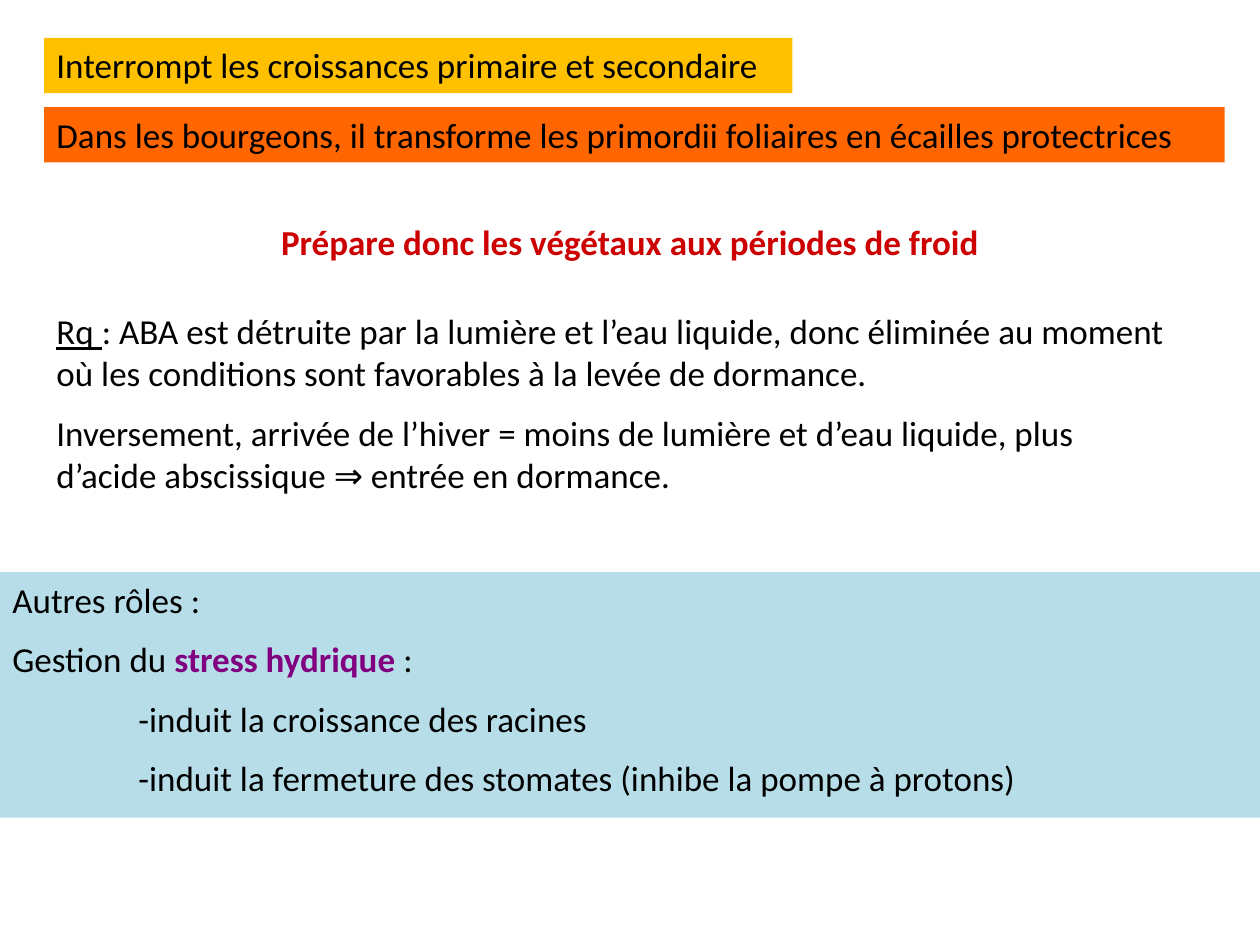
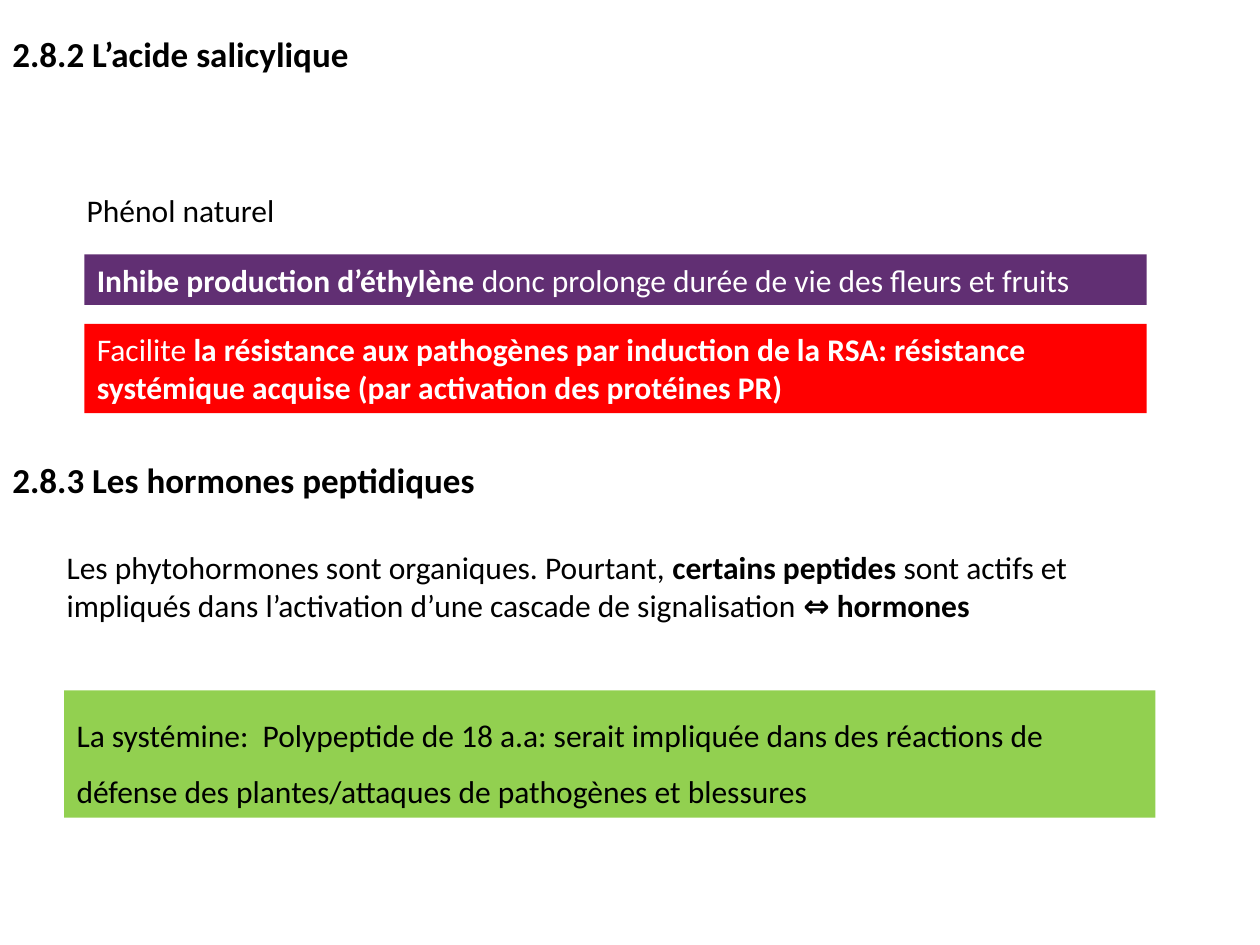
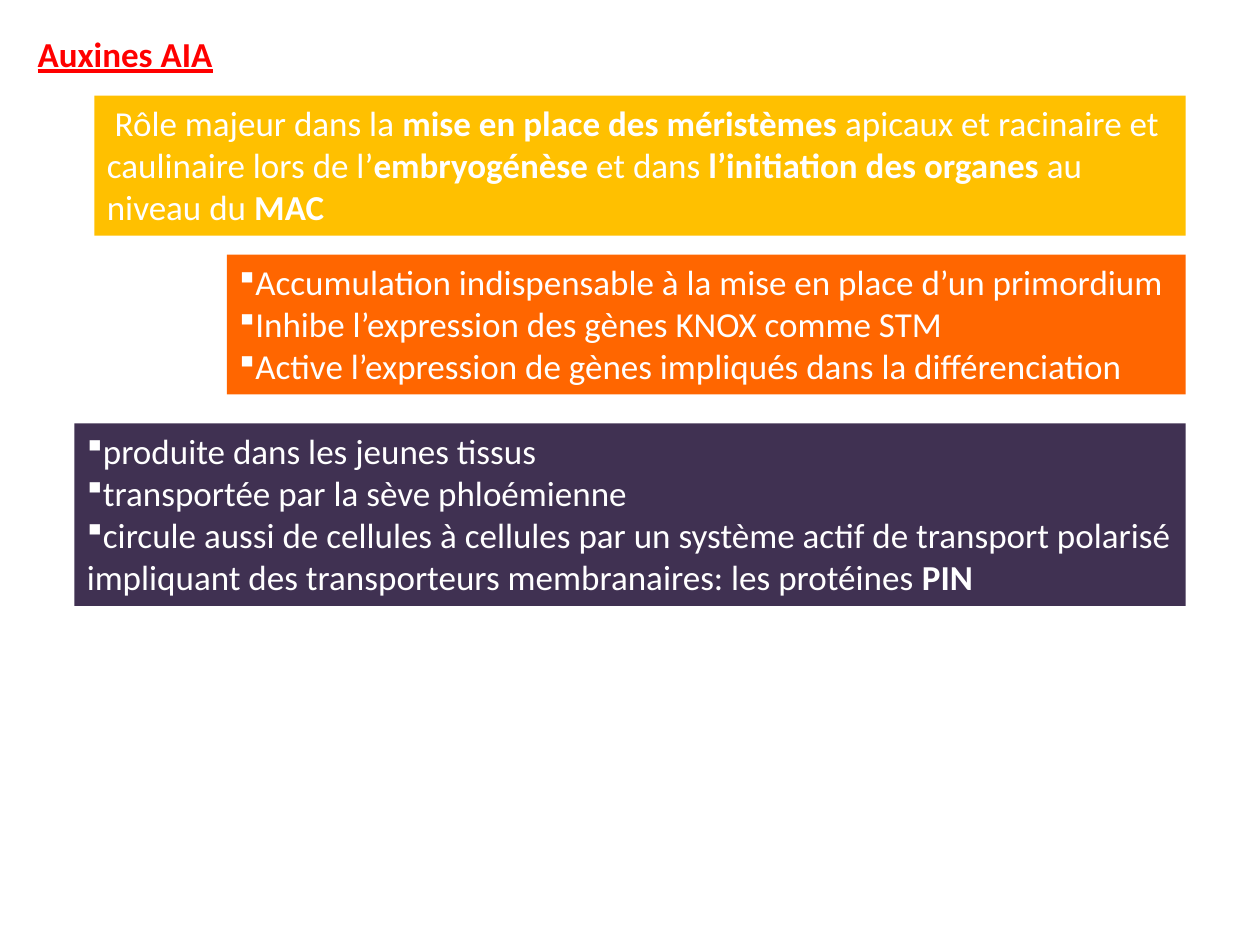
import pptx
import pptx.util
import pptx.dml.color
import pptx.enum.shapes
import pptx.enum.text
import pptx.oxml.ns
from lxml import etree

Inches, Pt = pptx.util.Inches, pptx.util.Pt
ALIGN = pptx.enum.text.PP_ALIGN

FONT = "Calibri"
BULLET_FONT, SQUARE_BULLET = "Wingdings", "§"
BLACK, WHITE, RED, PURPLE = "000000", "FFFFFF", "FF0000", "800080"
AMBER, ORANGE = "FFC000", "FF6600"
BOLD = {"bold": True}

# A box is (left, top, width, height), paragraphs, format.
# A paragraph is a list of runs; a run is a text, or a text with its format.
HEADING = {"bold": True, "wrap": False}
SPACED = {"gap": 10}
BULLETED = {"color": WHITE, "bullet": SQUARE_BULLET}

DORMANCY = [
    ((0, 1.7, 10, 0.44), [["Prépare donc les végétaux aux périodes de froid"]],
     {"color": "CC0000", "bold": True, "align": ALIGN.CENTER}),
    ((0.35, 2.41, 9.06, 1.62), [
        [("Rq ", {"underline": True}),
         ": ABA est détruite par la lumière et l’eau liquide, donc éliminée au moment "
         "où les conditions sont favorables à la levée de dormance."],
        ["Inversement, arrivée de l’hiver = moins de lumière et d’eau liquide, plus "
         "d’acide abscissique ⇒ entrée en dormance."],
    ], SPACED),
    ((0.35, 0.3, 5.94, 0.44),
     [["Interrompt les croissances primaire et secondaire"]], {"fill": AMBER}),
    ((0.35, 0.85, 9.37, 0.44),
     [["Dans les bourgeons, il transforme les primordii foliaires en écailles protectrices"]],
     {"fill": ORANGE}),
    ((0, 4.54, 10, 1.95), [
        ["Autres rôles :"],
        ["Gestion du ", ("stress hydrique", {"bold": True, "color": PURPLE}), " :"],
        ["\t-induit la croissance des racines"],
        ["\t-induit la fermeture des stomates (inhibe la pompe à protons)"],
    ], {"fill": "B7DEE8", "tab": 1, **SPACED}),
]

OTHER_HORMONES = [
    ((0, 0.21, 2.89, 0.44), [["2.8.2 L’acide salicylique"]], HEADING),
    ((0, 3.59, 3.91, 0.44), [["2.8.3 Les hormones peptidiques"]], HEADING),
    ((0.59, 1.47, 9.06, 0.4), [["Phénol naturel"]], {"size": 18}),
    ((0.67, 2.57, 8.43, 0.71), [
        ["Facilite ",
         ("la résistance aux pathogènes par induction de la RSA: résistance "
          "systémique acquise (par activation des protéines PR)", BOLD)],
    ], {"size": 18, "color": WHITE, "fill": RED}),
    ((0.67, 2.02, 8.43, 0.4), [
        [("Inhibe production d’éthylène ", BOLD),
         "donc prolonge durée de vie des fleurs et fruits"],
    ], {"size": 18, "color": WHITE, "fill": "612F73"}),
    ((0.51, 5.48, 8.66, 1.01), [
        ["La systémine:  Polypeptide de 18 a.a: serait impliquée dans des réactions de "
         "défense des plantes/attaques de pathogènes et blessures"],
    ], {"size": 18, "fill": "92D050", "line_spacing": 1.5}),
    ((0.43, 4.3, 8.98, 0.71), [
        ["Les phytohormones sont organiques. Pourtant, ", ("certains peptides ", BOLD),
         "sont actifs et impliqués dans l’activation d’une cascade de signalisation ",
         ("⇔ hormones", BOLD)],
    ], {"size": 18}),
]

AUXINS = [
    ((0.2, 0.21, 1.6, 0.44), [["Auxines AIA"]],
     {**HEADING, "color": RED, "underline": True}),
    ((1.8, 2.02, 7.61, 1.11), [
        ["Accumulation indispensable à la mise en place d’un primordium"],
        ["Inhibe l’expression des gènes KNOX comme STM"],
        ["Active l’expression de gènes impliqués dans la différenciation"],
    ], {"fill": ORANGE, **BULLETED}),
    ((0.75, 0.76, 8.66, 1.11), [
        [" Rôle majeur dans la ", ("mise en place des méristèmes ", BOLD),
         "apicaux et racinaire et caulinaire lors de l’", ("embryogénèse", BOLD),
         " et dans ", ("l’initiation des organes ", BOLD), "au niveau du ", ("MAC", BOLD)],
    ], {"color": WHITE, "fill": AMBER}),
    ((0.59, 3.36, 8.82, 1.45), [
        ["produite dans les jeunes tissus"],
        ["transportée par la sève phloémienne"],
        ["circule aussi de cellules à cellules par un système actif de transport polarisé "
         "impliquant des transporteurs membranaires: les protéines ", ("PIN", BOLD)],
    ], {"fill": "403152", **BULLETED}),
]


def rgb(value):
    return pptx.dml.color.RGBColor.from_string(value)


def add_frame(slide, place, fill):
    """Return the text frame of a filled rectangle, or of a plain text box."""
    lengths = [Inches(length) for length in place]
    if fill is None:
        return slide.shapes.add_textbox(*lengths).text_frame
    band = slide.shapes.add_shape(pptx.enum.shapes.MSO_SHAPE.RECTANGLE, *lengths)
    band.shadow.inherit = False
    band.fill.solid()
    band.fill.fore_color.rgb = rgb(fill)
    band.line.fill.background()
    return band.text_frame


def add_element(parent, tag, **attributes):
    return etree.SubElement(parent, pptx.oxml.ns.qn(tag), **attributes)


def add_run(paragraph, text, size, color, bold=False, underline=False):
    run = paragraph.add_run()
    run.text = text
    run.font.name = FONT
    run.font.size = Pt(size)
    run.font.color.rgb = rgb(color)
    run.font.bold = bold
    run.font.underline = underline


def add_text(slide, place, paragraphs, fill=None, align=ALIGN.LEFT, gap=0, bullet=None,
             tab=None, line_spacing=None, wrap=True, size=20, color=BLACK, **style):
    frame = add_frame(slide, place, fill)
    frame.word_wrap = wrap
    frame.auto_size = pptx.enum.text.MSO_AUTO_SIZE.SHAPE_TO_FIT_TEXT
    frame.vertical_anchor = pptx.enum.text.MSO_ANCHOR.TOP
    for index, runs in enumerate(paragraphs):
        paragraph = frame.add_paragraph() if index else frame.paragraphs[0]
        paragraph.alignment = align
        if line_spacing:
            paragraph.line_spacing = line_spacing
        if index and gap:
            paragraph.space_before = Pt(gap)
        properties = paragraph._p.get_or_add_pPr()
        if bullet:
            add_element(properties, "a:buFont", typeface=BULLET_FONT, charset="2")
            add_element(properties, "a:buChar", char=bullet)
        if tab:
            stops = add_element(properties, "a:tabLst")
            add_element(stops, "a:tab", pos=str(Inches(tab)), algn="l")
        for run in runs:
            text, changes = (run, {}) if isinstance(run, str) else run
            add_run(paragraph, text, **{"size": size, "color": color, **style, **changes})


def main():
    deck = pptx.Presentation()
    deck.slide_width, deck.slide_height = Inches(10), Inches(7.5)
    for boxes in (DORMANCY, OTHER_HORMONES, AUXINS):
        slide = deck.slides.add_slide(deck.slide_layouts[6])
        for place, paragraphs, style in boxes:
            add_text(slide, place, paragraphs, **style)
    deck.save("out.pptx")


if __name__ == "__main__":
    main()
